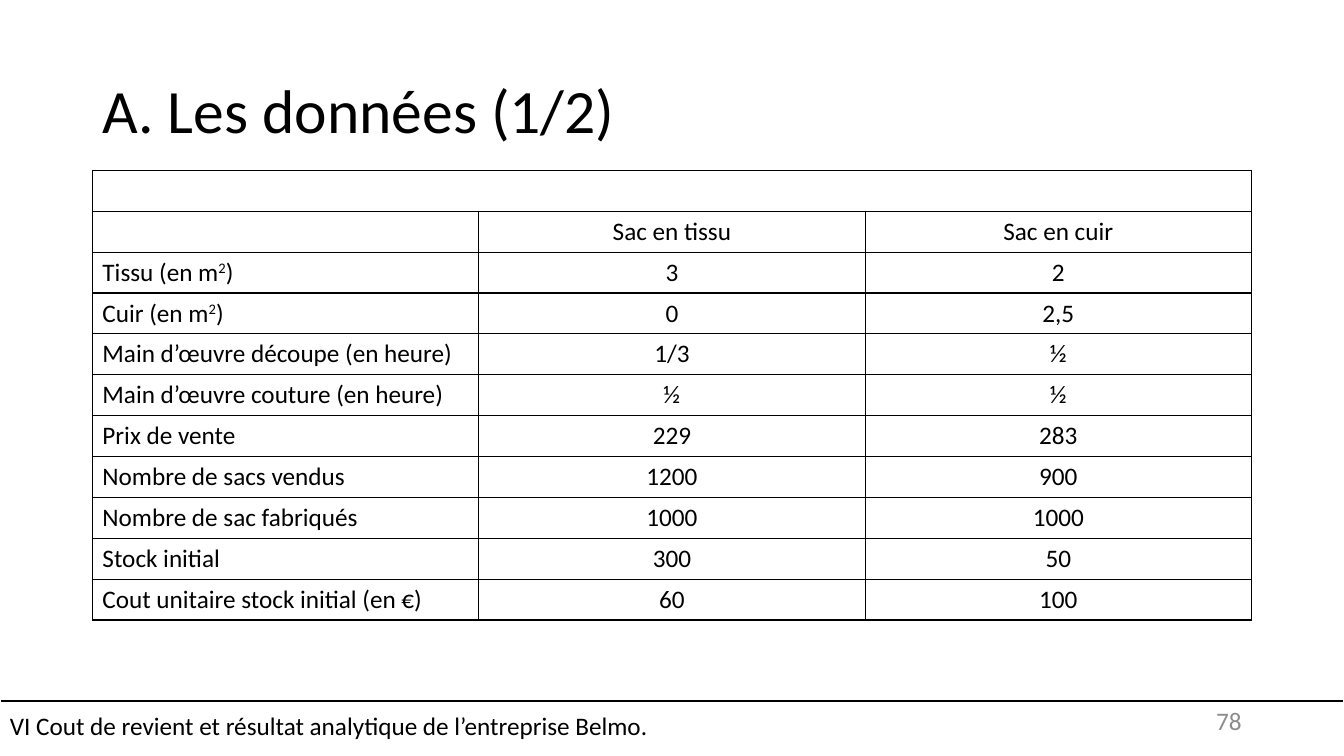
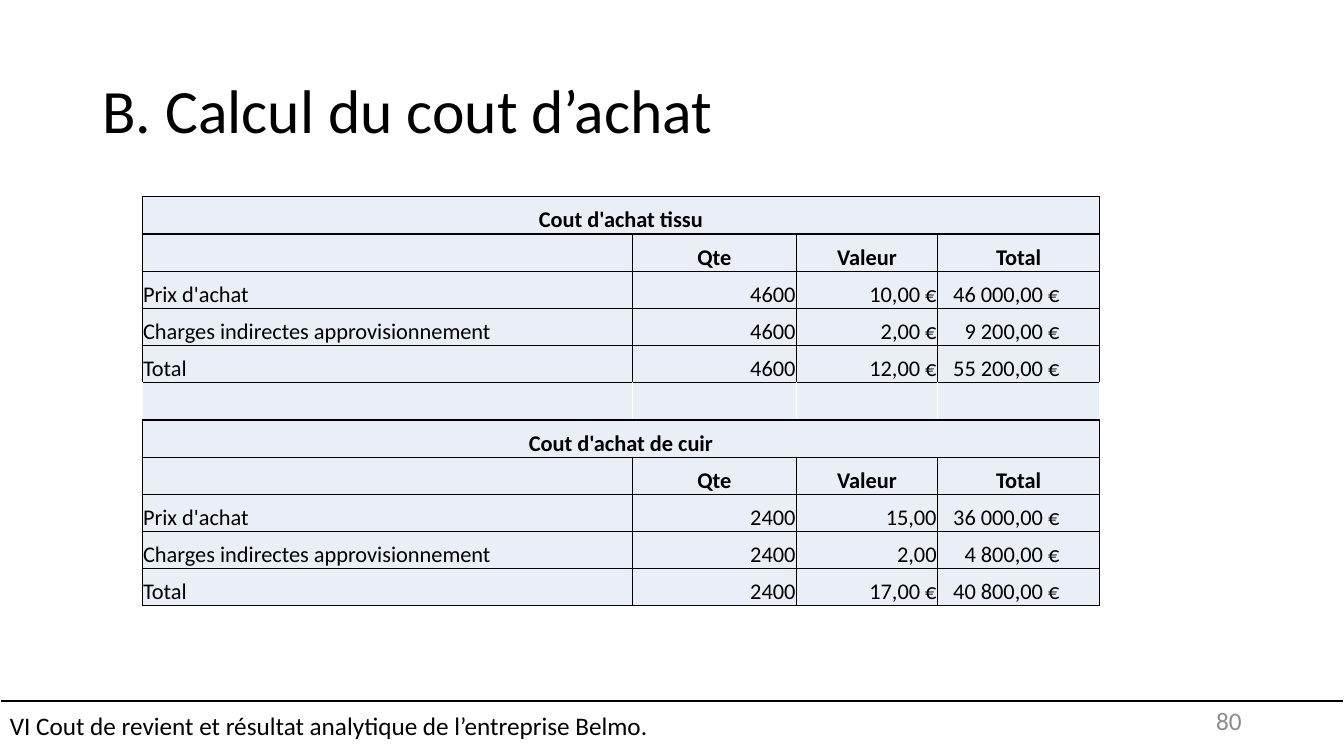
import pptx
import pptx.dml.color
import pptx.enum.shapes
import pptx.enum.text
import pptx.oxml
import pptx.oxml.ns
import pptx.util

Pt = pptx.util.Pt
ALIGN = pptx.enum.text.PP_ALIGN
ANCHOR = pptx.enum.text.MSO_ANCHOR

BLACK, WHITE, GREY, PALE_BLUE = "000000", "FFFFFF", "8C8C8C", "EAEFF7"
CHAPTER = "VI Cout de revient et résultat analytique de l’entreprise Belmo."

BAG_DATA = [
    [],
    ["", "Sac en tissu", "Sac en cuir"],
    ["Tissu (en m^2^)", "3", "2"],
    ["Cuir (en m^2^)", "0", "2,5"],
    ["Main d’œuvre découpe (en heure)", "1/3", "½"],
    ["Main d’œuvre couture (en heure)", "½", "½"],
    ["Prix de vente", "229", "283"],
    ["Nombre de sacs vendus", "1200", "900"],
    ["Nombre de sac fabriqués", "1000", "1000"],
    ["Stock initial", "300", "50"],
    ["Cout unitaire stock initial (en €)", "60", "100"],
]


def rgb(value):
    return pptx.dml.color.RGBColor.from_string(value)


class Deck:
    WIDTH, HEIGHT = 960, 540
    FONT = "Calibri"

    def __init__(self):
        self.presentation = pptx.Presentation()
        self.presentation.slide_width = Pt(self.WIDTH)
        self.presentation.slide_height = Pt(self.HEIGHT)
        self.slide = None

    def new_slide(self, title, page):
        layout = self.presentation.slide_layouts.get_by_name("Title Only")
        self.slide = self.presentation.slides.add_slide(layout)
        self.rule(500.4)
        self.title(title)
        self.footer(page)

    def add_text(self, frame, text, size, align=ALIGN.LEFT, color=BLACK, bold=False):
        """Fill the first paragraph; parts between carets are superscript."""
        paragraph = frame.paragraphs[0]
        paragraph.alignment = align
        for position, part in enumerate(text.split("^")):
            if not part:
                continue
            run = paragraph.add_run()
            run.text = part
            run.font.name = self.FONT
            run.font.size = Pt(size)
            run.font.bold = bold
            run.font.color.rgb = rgb(color)
            if position % 2:
                run._r.get_or_add_rPr().set("baseline", "30000")
        return paragraph

    def title(self, text):
        heading = self.slide.shapes.title
        heading.left, heading.top = Pt(66), Pt(28.8)
        heading.width, heading.height = Pt(828), Pt(104.4)
        heading.text_frame.vertical_anchor = ANCHOR.MIDDLE
        self.add_text(heading.text_frame, text, 44).line_spacing = 0.9

    def rule(self, top):
        line = self.slide.shapes.add_connector(
            pptx.enum.shapes.MSO_CONNECTOR.STRAIGHT, 0, Pt(top), Pt(self.WIDTH), Pt(top))
        line.line.color.rgb = rgb(BLACK)
        line.line.width = Pt(1.5)
        line._element.spPr.append(pptx.oxml.parse_xml(
            f"<a:effectLst {pptx.oxml.ns.nsdecls('a')}/>"))

    def footer(self, page):
        band = self.slide.shapes.add_shape(
            pptx.enum.shapes.MSO_SHAPE.RECTANGLE, 0, Pt(496.8), Pt(self.WIDTH), Pt(43.2))
        band.shadow.inherit = False
        band.fill.background()
        band.line.color.rgb = rgb(WHITE)
        band.line.width = Pt(1)
        band.text_frame.vertical_anchor = ANCHOR.MIDDLE
        self.add_text(band.text_frame, CHAPTER, 18)

        number = self.slide.shapes.add_textbox(Pt(678), Pt(500.4), Pt(216), Pt(28.8))
        number.text_frame.word_wrap = True
        number.text_frame.vertical_anchor = ANCHOR.MIDDLE
        self.add_text(number.text_frame, str(page), 18, ALIGN.RIGHT, GREY)

    def table(self, left, top, widths, row_height, row_count):
        frame = self.slide.shapes.add_table(
            row_count, len(widths), Pt(left), Pt(top), Pt(sum(widths)),
            Pt(row_height * row_count))
        grid = frame.table
        grid.first_row = grid.horz_banding = False
        for column, width in zip(grid.columns, widths):
            column.width = Pt(width)
        for row in grid.rows:
            row.height = Pt(row_height)
        return grid

    def style_cell(self, cell, fill=None, side_color=BLACK):
        """Draw the four borders, then the fill (none by default)."""
        properties = cell._tc.get_or_add_tcPr()
        for side, color in zip("LRTB", (side_color, side_color, BLACK, BLACK)):
            properties.append(pptx.oxml.parse_xml(
                f'<a:ln{side} {pptx.oxml.ns.nsdecls("a")} w="{Pt(1)}"><a:solidFill>'
                f'<a:srgbClr val="{color}"/></a:solidFill></a:ln{side}>'))
        if fill:
            cell.fill.solid()
            cell.fill.fore_color.rgb = rgb(fill)
        else:
            cell.fill.background()

    def bag_table(self, rows):
        grid = self.table(66, 121.7, [276] * 3, 29.2, len(rows))
        for r, values in enumerate(rows):
            for c in range(3):
                self.style_cell(grid.cell(r, c))
            for c, value in enumerate(values):
                self.add_text(grid.cell(r, c).text_frame, value, 18,
                              ALIGN.CENTER if c else ALIGN.LEFT)
        grid.cell(0, 0).merge(grid.cell(0, 2))

    def cost_table(self, blocks):
        """Stack one block per material, with an empty row between blocks."""
        rows = []
        for heading, quantity, costs in blocks:
            if rows:
                rows.append(("gap", []))
            rows.append(("heading", [heading]))
            rows.append(("labels", ["", "Qte", "Valeur", "Total"]))
            names = ("Prix d'achat", "Charges indirectes approvisionnement", "Total")
            rows += [("cost", [name, quantity, *cost]) for name, cost in zip(names, costs)]

        grid = self.table(101.5, 140.6, [350, 117.4, 100.8, 115.9], 26.57, len(rows))
        for r, (role, values) in enumerate(rows):
            for c in range(4):
                cell = grid.cell(r, c)
                cell.margin_left = cell.margin_right = cell.margin_top = Pt(0.7)
                cell.margin_bottom = 0
                cell.vertical_anchor = ANCHOR.BOTTOM
                self.style_cell(cell, PALE_BLUE, WHITE if role == "gap" else BLACK)
                if role == "cost" and c == 3:
                    cell.margin_right = Pt(28.8)
            for c, value in enumerate(values):
                if role == "cost":
                    align = ALIGN.RIGHT if c else ALIGN.LEFT
                else:
                    align = ALIGN.CENTER
                self.add_text(grid.cell(r, c).text_frame, value, 16, align,
                              bold=role != "cost")
            if role == "heading":
                grid.cell(r, 0).merge(grid.cell(r, 3))


def main():
    deck = Deck()

    deck.new_slide("A. Les données (1/2)", 78)
    deck.bag_table(BAG_DATA)

    deck.new_slide("B. Calcul du cout d’achat", 80)
    deck.cost_table([
        ("Cout d'achat tissu", "4600",
         [("10,00 €", "46 000,00 €"), ("2,00 €", "9 200,00 €"), ("12,00 €", "55 200,00 €")]),
        ("Cout d'achat de cuir", "2400",
         [("15,00", "36 000,00 €"), ("2,00", "4 800,00 €"), ("17,00 €", "40 800,00 €")]),
    ])

    deck.presentation.save("out.pptx")


if __name__ == "__main__":
    main()
